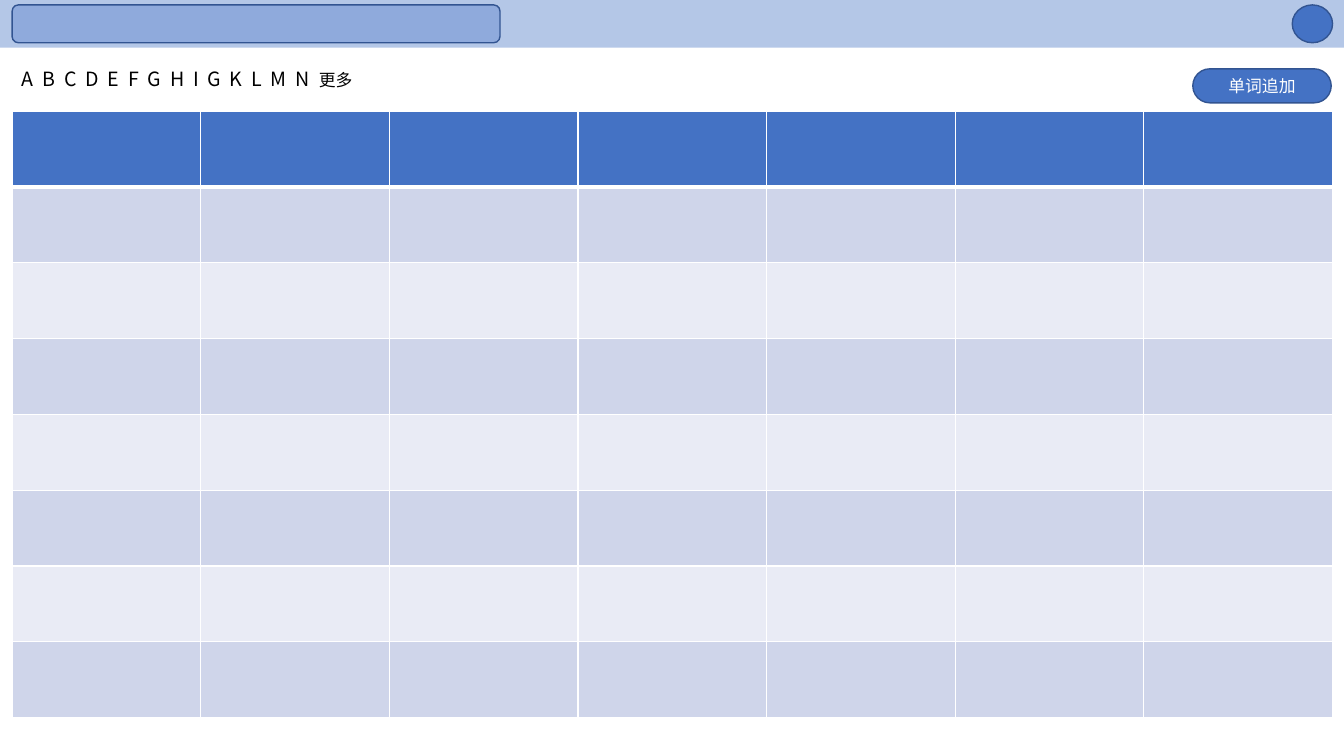
from pptx import Presentation
from pptx.dml.color import RGBColor
from pptx.enum.shapes import MSO_SHAPE as Shape
from pptx.enum.text import MSO_ANCHOR as Anchor, MSO_AUTO_SIZE as AutoSize, PP_ALIGN as Align
from pptx.oxml import parse_xml
from pptx.oxml.ns import nsdecls
from pptx.util import Inches, Pt

BLACK = RGBColor(0x00, 0x00, 0x00)
WHITE = RGBColor(0xFF, 0xFF, 0xFF)
BLUE = RGBColor(0x44, 0x72, 0xC4)
OUTLINE = RGBColor(0x32, 0x54, 0x91)
BAND = RGBColor(0xB4, 0xC7, 0xE7)
SEARCH = RGBColor(0x8F, 0xAA, 0xDC)
ROW_DARK = RGBColor(0xCF, 0xD5, 0xEA)
ROW_LIGHT = RGBColor(0xE9, 0xEB, 0xF5)
FONT = "Noto Sans CJK SC"


def add_text(para, text, size=12, color=BLACK, spacing=0):
    span = para.add_run()
    span.text = text
    span.font.size = Pt(size)
    span.font.name = FONT
    span.font.color.rgb = color
    properties = span.font._element
    properties.append(parse_xml(f'<a:ea {nsdecls("a")} typeface="{FONT}"/>'))
    if spacing:
        properties.set("spc", str(round(spacing * 100)))


def set_border(cell, side, width):
    return parse_xml(
        f'<a:ln{side} {nsdecls("a")} w="{Pt(width)}"><a:solidFill>'
        f'<a:srgbClr val="{WHITE}"/></a:solidFill></a:ln{side}>')


class SlideBuilder:
    def __init__(self, deck):
        self.width, self.height = deck.slide_width, deck.slide_height
        self.page = deck.slides.add_slide(deck.slide_layouts[6])

    def place(self, left, top, width, height):
        return (round(left * self.width / 100), round(top * self.height / 100),
                round(width * self.width / 100), round(height * self.height / 100))

    def shape(self, kind, area, fill, outline=OUTLINE, corner=None):
        shape = self.page.shapes.add_shape(kind, *self.place(*area))
        shape.shadow.inherit = False
        shape.fill.solid()
        shape.fill.fore_color.rgb = fill
        if outline is None:
            shape.line.fill.background()
        else:
            shape.line.color.rgb = outline
            shape.line.width = Pt(1)
        if corner is not None:
            shape.adjustments[0] = corner
        return shape

    def button(self, area, text):
        frame = self.shape(Shape.ROUNDED_RECTANGLE, area, BLUE, corner=0.5).text_frame
        frame.vertical_anchor = Anchor.MIDDLE
        para = frame.paragraphs[0]
        para.alignment = Align.CENTER
        add_text(para, text, color=WHITE)

    def text_line(self, area):
        box = self.page.shapes.add_textbox(*self.place(*area))
        box.text_frame.word_wrap = True
        box.text_frame.auto_size = AutoSize.SHAPE_TO_FIT_TEXT
        return box.text_frame.paragraphs[0]

    def table(self, area, rows, columns):
        table = self.page.shapes.add_table(rows, columns, *self.place(*area)).table
        for row in range(rows):
            fill = BLUE if row == 0 else ROW_DARK if row % 2 else ROW_LIGHT
            widths = {"L": 1, "R": 1, "T": 3 if row == 1 else 1, "B": 3 if row == 0 else 1}
            for column in range(columns):
                cell = table.cell(row, column)
                cell.fill.solid()
                cell.fill.fore_color.rgb = fill
                properties = cell._tc.get_or_add_tcPr()
                for index, (side, width) in enumerate(widths.items()):
                    properties.insert(index, set_border(cell, side, width))


deck = Presentation()
deck.slide_width, deck.slide_height = Inches(13.33), Inches(7.5)
builder = SlideBuilder(deck)

builder.shape(Shape.RECTANGLE, (0, 0, 100, 6.3), BAND, outline=None)
builder.shape(Shape.OVAL, (96.15, 0.65, 3, 5), BLUE)
builder.shape(Shape.ROUNDED_RECTANGLE, (0.9, 0.65, 36.3, 5), SEARCH)

letter_index = builder.text_line((0.9, 8.25, 96.1, 4.5))
add_text(letter_index, " ".join("ABCDEFGHIGKLMN") + " ", size=14, spacing=1.57)
add_text(letter_index, "更多")

builder.table((0.9, 14.7, 98.25, 80.25), rows=8, columns=7)
builder.button((88.75, 9.1, 10.3, 4.5), "单词追加")

deck.save("out.pptx")
